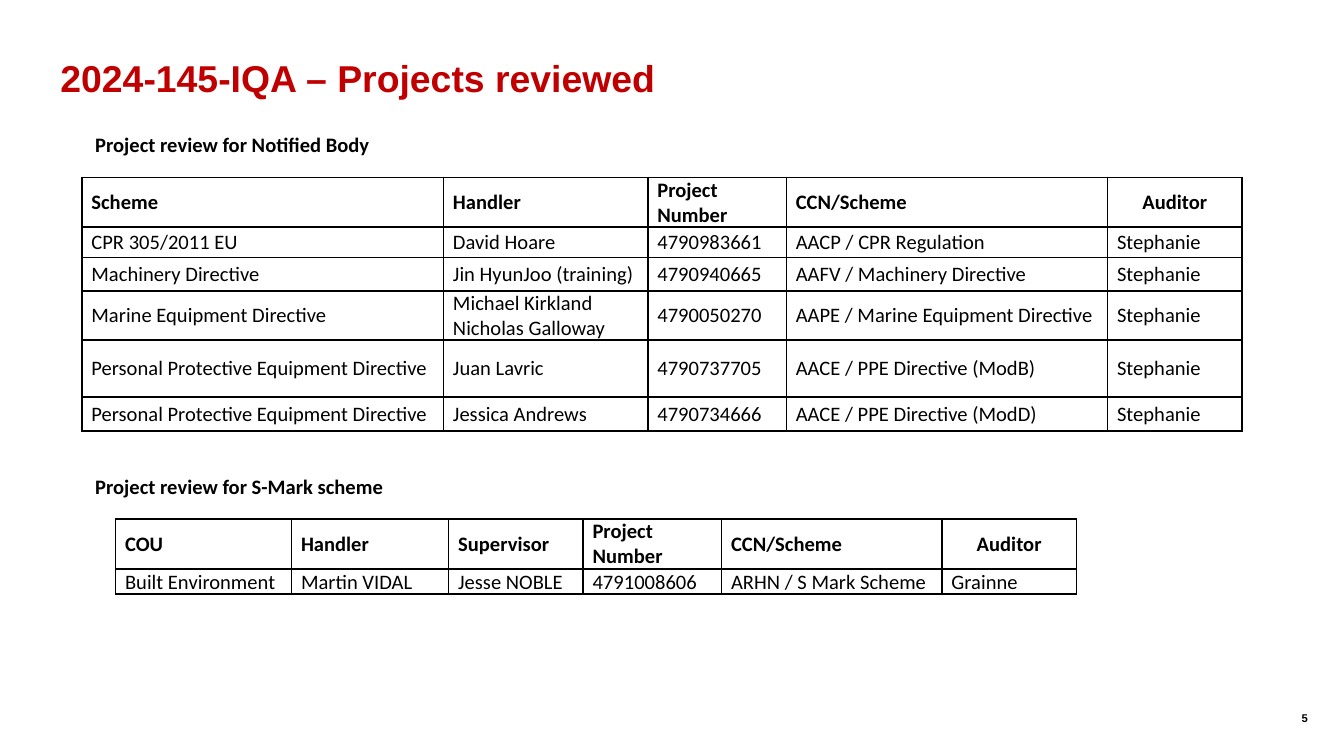
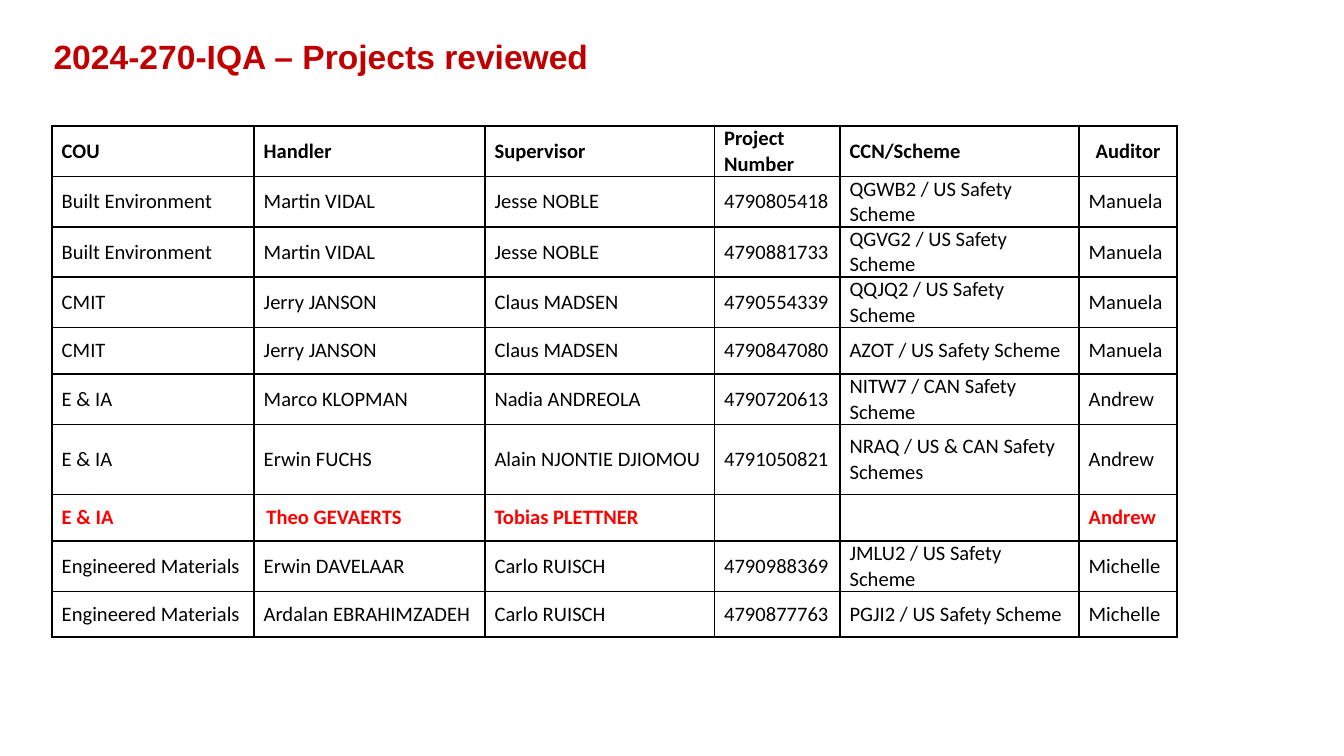
from lxml import etree
from pptx import Presentation
from pptx.dml.color import RGBColor
from pptx.enum.shapes import MSO_SHAPE
from pptx.enum.text import MSO_ANCHOR, PP_ALIGN
from pptx.oxml.ns import qn
from pptx.util import Pt

RECT = MSO_SHAPE.RECTANGLE
TOP, MIDDLE, BOTTOM = MSO_ANCHOR.TOP, MSO_ANCHOR.MIDDLE, MSO_ANCHOR.BOTTOM
LEFT, CENTER, RIGHT = PP_ALIGN.LEFT, PP_ALIGN.CENTER, PP_ALIGN.RIGHT

COLORS = {"white": "FFFFFF", "black": "000000", "title": "C00000", "alert": "FF0000"}
HEAD_FONT, BODY_FONT = "Arial", "Calibri"
BODY_SIZE = 11
CELL_MARGIN = 5.1
ALERT_INDENT = 1.44


def rgb(name):
    return RGBColor.from_string(COLORS[name])


class Deck:
    def __init__(self):
        self.prs = Presentation()
        self.prs.slide_width, self.prs.slide_height = Pt(720), Pt(405)
        self.s = None

    def slide(self):
        self.s = self.prs.slides.add_slide(self.prs.slide_layouts[6])
        fill = self.s.background.fill
        fill.solid()
        fill.fore_color.rgb = rgb("white")

    def add_text(self, p, text, size, font=BODY_FONT, color="black", bold=True, align=LEFT):
        p.alignment = align
        r = p.add_run()
        r.text = text
        r.font.size, r.font.name, r.font.bold = Pt(size), font, bold
        r.font.color.rgb = rgb(color)

    def frame(self, sp, inset, anchor=TOP):
        tf = sp.text_frame
        tf.word_wrap = True
        tf.vertical_anchor = anchor
        tf.margin_left = tf.margin_right = Pt(inset)
        tf.margin_top = tf.margin_bottom = Pt(inset / 2)
        return tf.paragraphs[0]

    def textbox(self, box, inset=0, anchor=TOP):
        sp = self.s.shapes.add_textbox(*map(Pt, box))
        return self.frame(sp, inset, anchor)

    def title(self, p, text, size):
        p.line_spacing = 0.9
        self.add_text(p, text, size, HEAD_FONT, "title")

    def plain_title(self, text, box, size):
        self.title(self.textbox(box), text, size)

    def band_title(self, text, box, size):
        sp = self.s.shapes.add_shape(RECT, *map(Pt, box))
        sp.shadow.inherit = False
        sp.fill.solid()
        sp.fill.fore_color.rgb = rgb("white")
        sp.line.fill.background()
        self.title(self.frame(sp, 7.2), text, size)

    def caption(self, text, box):
        self.add_text(self.textbox(box, 7.2), text, BODY_SIZE)

    def page_number(self, number):
        p = self.textbox((676.8, 377.3, 23.8, 10.8), anchor=BOTTOM)
        self.add_text(p, number, 6, HEAD_FONT, align=RIGHT)

    def borders(self, cell):
        tcPr = cell._tc.get_or_add_tcPr()
        for side in ("a:lnL", "a:lnR", "a:lnT", "a:lnB"):
            ln = etree.SubElement(tcPr, qn(side), w=str(Pt(1)))
            fill = etree.SubElement(ln, qn("a:solidFill"))
            etree.SubElement(fill, qn("a:srgbClr"), val=COLORS["black"])

    def cell(self, cell, text, **style):
        self.borders(cell)
        cell.fill.background()
        cell.vertical_anchor = MIDDLE
        cell.margin_left = cell.margin_right = Pt(CELL_MARGIN)
        cell.margin_top = cell.margin_bottom = 0
        tf = cell.text_frame
        for i, line in enumerate(text.split("\n") if text else []):
            p = tf.add_paragraph() if i else tf.paragraphs[0]
            self.add_text(p, line, BODY_SIZE, **style)

    def table(self, x, y, widths, heights, rows, alert_row=None):
        sp = self.s.shapes.add_table(len(rows), len(widths), Pt(x), Pt(y),
                                     Pt(sum(widths)), Pt(sum(heights)))
        table = sp.table
        table.first_row = table.horz_banding = False
        for column, width in zip(table.columns, widths):
            column.width = Pt(width)
        for i, (row, height) in enumerate(zip(rows, heights)):
            table.rows[i].height = Pt(height)
            for j, text in enumerate(row):
                self.cell(table.cell(i, j), text,
                          bold=i in (0, alert_row),
                          color="alert" if i == alert_row else "black",
                          align=CENTER if text == "Auditor" else LEFT)
        return table


NOTIFIED_BODY = [
    ("Scheme", "Handler", "Project Number", "CCN/Scheme", "Auditor"),
    ("CPR 305/2011 EU", "David Hoare", "4790983661", "AACP / CPR Regulation", "Stephanie"),
    ("Machinery Directive", "Jin HyunJoo (training)", "4790940665",
     "AAFV / Machinery Directive", "Stephanie"),
    ("Marine Equipment Directive", "Michael Kirkland\nNicholas Galloway", "4790050270",
     "AAPE / Marine Equipment Directive", "Stephanie"),
    ("Personal Protective Equipment Directive", "Juan Lavric", "4790737705",
     "AACE / PPE Directive (ModB)", "Stephanie"),
    ("Personal Protective Equipment Directive", "Jessica Andrews", "4790734666",
     "AACE / PPE Directive (ModD)", "Stephanie"),
]
COU_HEADER = ("COU", "Handler", "Supervisor", "Project Number", "CCN/Scheme", "Auditor")
S_MARK = [
    COU_HEADER,
    ("Built Environment", "Martin VIDAL", "Jesse NOBLE", "4791008606",
     "ARHN / S Mark Scheme", "Grainne"),
]
SAFETY = [
    COU_HEADER,
    ("Built Environment", "Martin VIDAL", "Jesse NOBLE", "4790805418",
     "QGWB2 / US Safety Scheme", "Manuela"),
    ("Built Environment", "Martin VIDAL", "Jesse NOBLE", "4790881733",
     "QGVG2 / US Safety Scheme", "Manuela"),
    ("CMIT", "Jerry JANSON", "Claus MADSEN", "4790554339",
     "QQJQ2 / US Safety Scheme", "Manuela"),
    ("CMIT", "Jerry JANSON", "Claus MADSEN", "4790847080",
     "AZOT / US Safety Scheme", "Manuela"),
    ("E & IA", "Marco KLOPMAN", "Nadia ANDREOLA", "4790720613",
     "NITW7 / CAN Safety Scheme", "Andrew"),
    ("E & IA", "Erwin FUCHS", "Alain NJONTIE DJIOMOU", "4791050821",
     "NRAQ / US & CAN Safety Schemes", "Andrew"),
    ("E & IA", "Theo GEVAERTS", "Tobias PLETTNER", "", "", "Andrew"),
    ("Engineered Materials", "Erwin DAVELAAR", "Carlo RUISCH", "4790988369",
     "JMLU2 / US Safety Scheme", "Michelle"),
    ("Engineered Materials", "Ardalan EBRAHIMZADEH", "Carlo RUISCH", "4790877763",
     "PGJI2 / US Safety Scheme", "Michelle"),
]
ALERT_ROW = 7


def main():
    deck = Deck()

    deck.slide()
    deck.plain_title("2024-145-IQA – Projects reviewed", (32.4, 32.4, 434.2, 21.6), 20)
    deck.page_number("5")
    deck.caption("Project review for Notified Body", (43.9, 67, 164, 42.5))
    deck.table(43.9, 95, (193.7, 109.5, 74.2, 172.1, 72),
               (26.5, 16.6, 17.8, 26.3, 30.5, 18.2), NOTIFIED_BODY)
    deck.caption("Project review for S-Mark scheme", (43.9, 250.4, 200, 42.5))
    deck.table(61.9, 278, (94.3, 84.2, 72, 74.2, 118.1, 72), (27, 13.4), S_MARK)

    deck.slide()
    deck.band_title("2024-270-IQA – Projects reviewed", (21.6, 18, 666, 32.4), 18)
    table = deck.table(28, 67.5, (108.2, 123.7, 123, 67.2, 128.1, 52.4),
                       (27, 27, 27, 27, 25, 27, 37.5, 25, 27, 24.3), SAFETY, ALERT_ROW)
    p = table.cell(ALERT_ROW, 1).text_frame.paragraphs[0]
    p._p.get_or_add_pPr().set("marL", str(Pt(ALERT_INDENT)))

    deck.prs.save("out.pptx")


if __name__ == "__main__":
    main()
